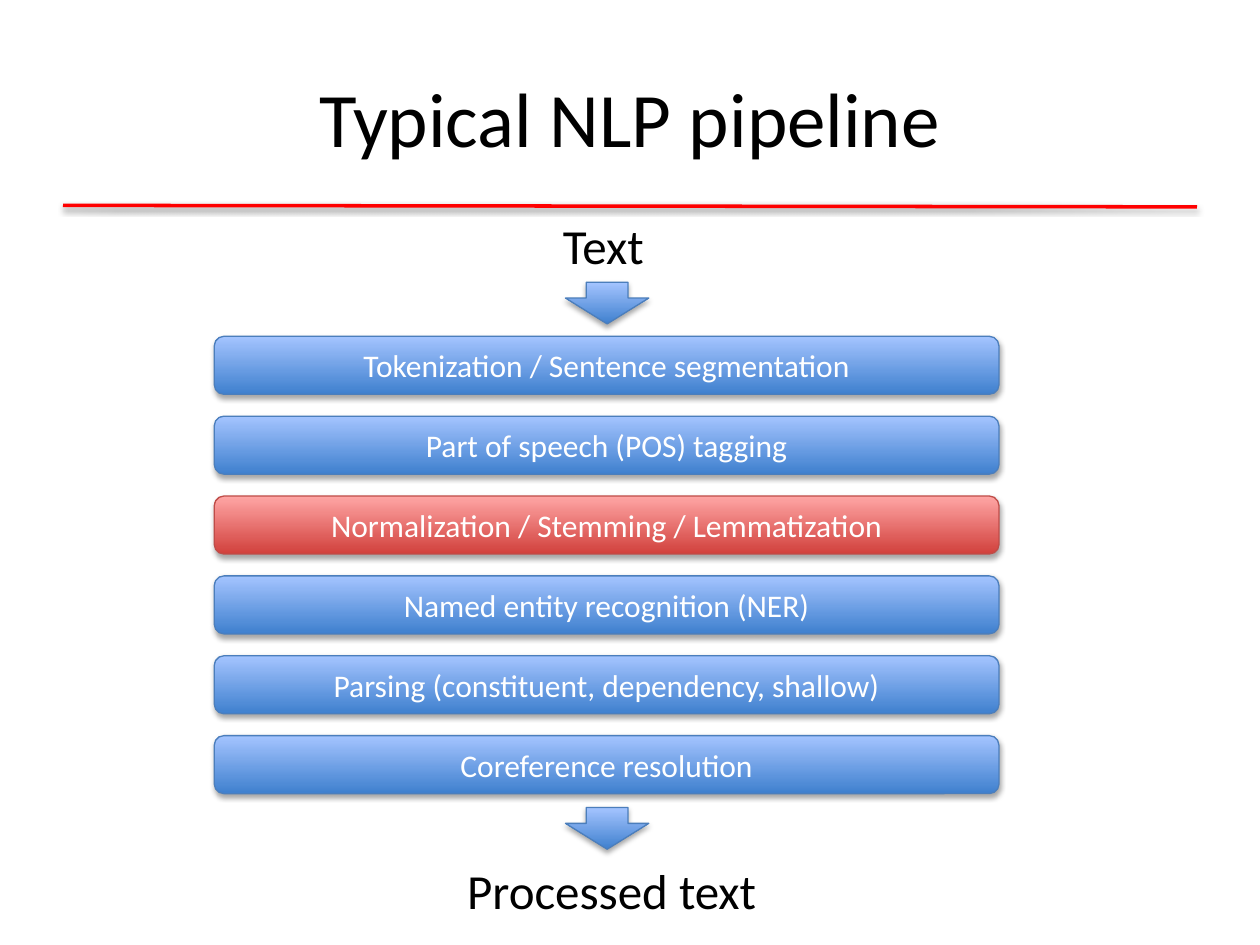
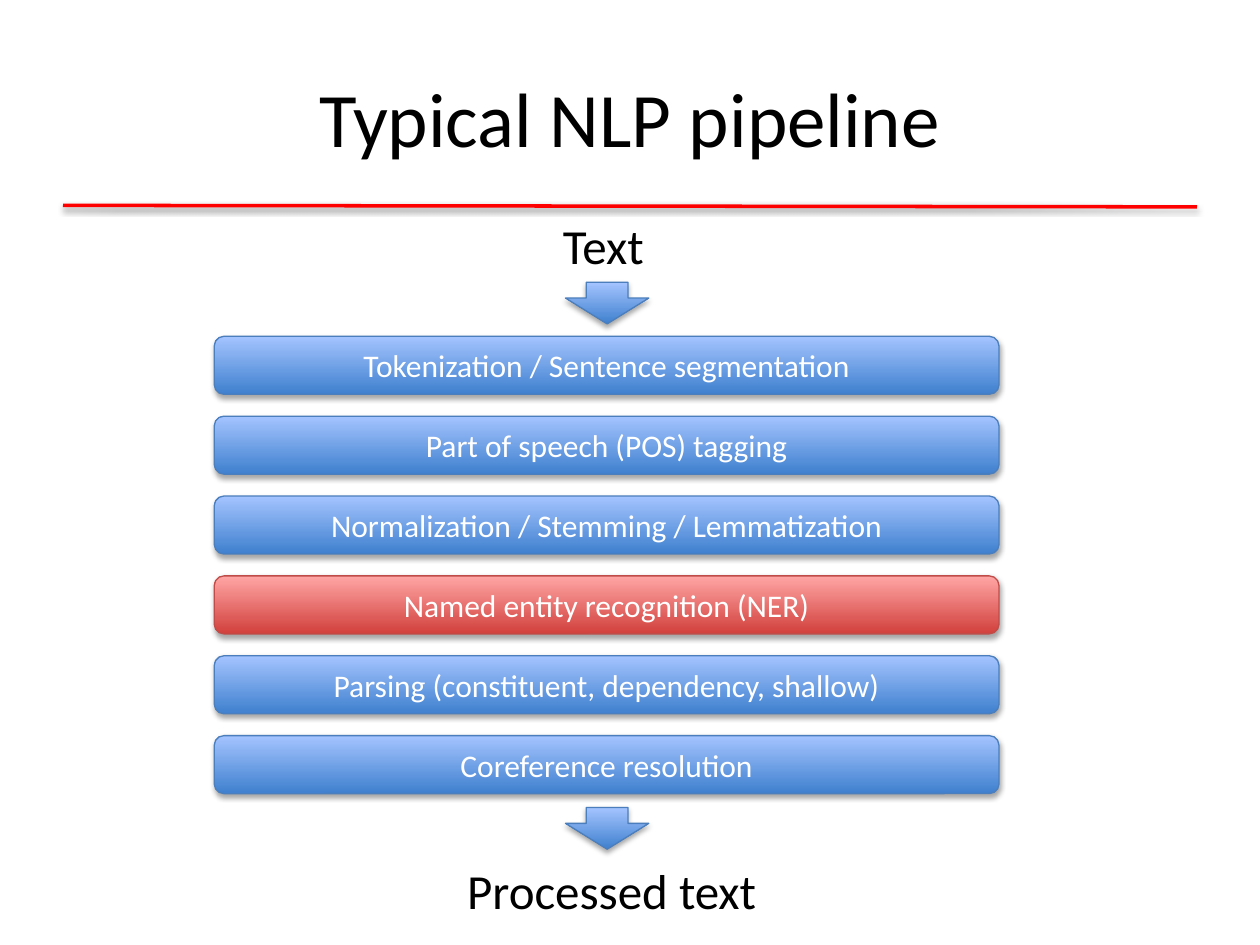
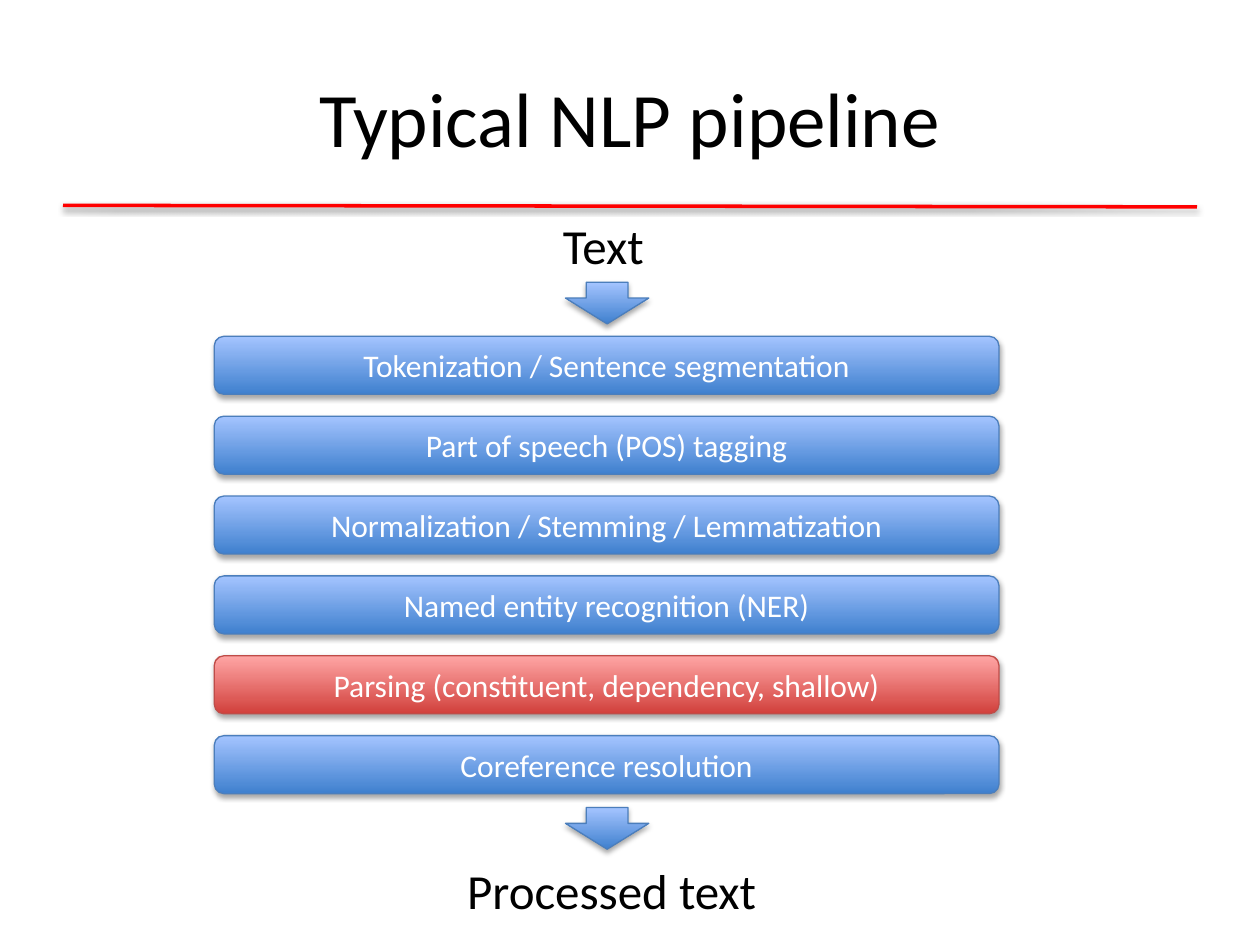
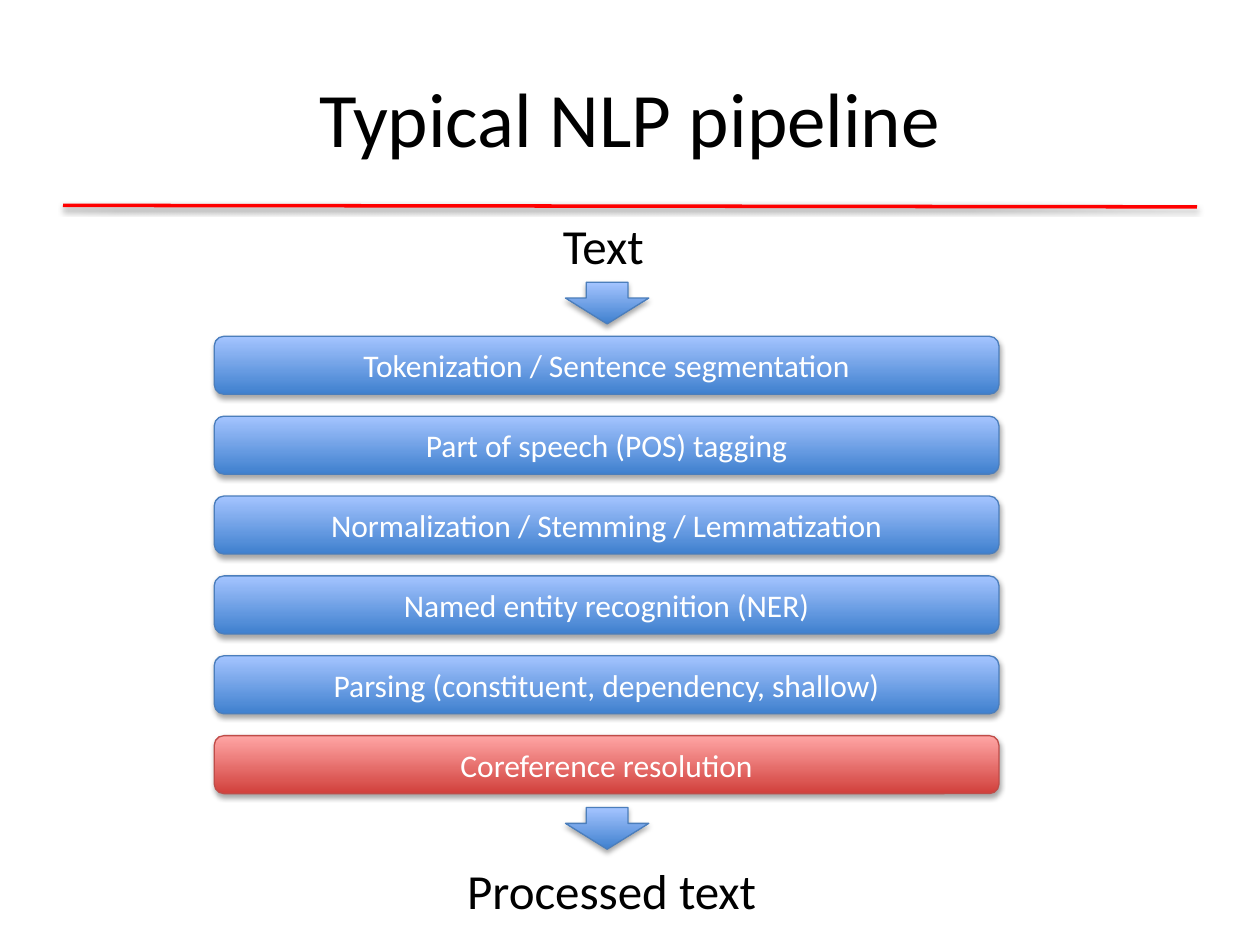
from dataclasses import dataclass

from lxml.etree import SubElement
from pptx import Presentation
from pptx.dml.color import RGBColor
from pptx.enum.shapes import MSO_CONNECTOR, MSO_SHAPE as Preset
from pptx.enum.text import MSO_ANCHOR as Anchor, MSO_AUTO_SIZE as AutoSize, PP_ALIGN as Align
from pptx.oxml.ns import qn
from pptx.util import Cm, Pt


@dataclass(frozen=True)
class Theme:
    font: str = "Calibri"
    title_size: Pt = Pt(44)
    label_size: Pt = Pt(28)
    step_size: Pt = Pt(18)
    text: RGBColor = RGBColor.from_string("000000")
    step_text: RGBColor = RGBColor.from_string("FFFFFF")
    rule: RGBColor = RGBColor.from_string("FF0000")
    # Each palette holds the bottom colour, the top colour and the outline.
    normal: tuple = ("3F80CE", "A4C4FF", "4B7EBC")
    highlight: tuple = ("D1403C", "FFA6A5", "BF4C48")


theme = Theme()

TITLE = "Typical NLP pipeline"
STEPS = [
    "Tokenization / Sentence segmentation",
    "Part of speech (POS) tagging",
    "Normalization / Stemming / Lemmatization",
    "Named entity recognition (NER)",
    "Parsing (constituent, dependency, shallow)",
    "Coreference resolution",
]
HIGHLIGHTED_STEPS = [2, 3, 4, 5]  # one slide for each
STEP_TOP, STEP_PITCH = 6.78, 1.61
ARROW_TOPS = [5.69, 16.28]
LABELS = [("Text", 11.1, 4.22, 2.26), ("Processed text", 9.17, 17.22, 6.45)]


def add_shadow(shape, distance, opacity):
    """Cast a soft black shadow downwards; call after fill and line are set."""
    effects = SubElement(shape.element.spPr, qn("a:effectLst"))
    shadow = SubElement(effects, qn("a:outerShdw"), blurRad=str(Pt(3.1)),
                        dist=str(Pt(distance)), dir="5400000", rotWithShape="0")
    color = SubElement(shadow, qn("a:srgbClr"), val="000000")
    SubElement(color, qn("a:alpha"), val=str(opacity * 1000))


def add_block(slide, preset, left, top, width, height, palette):
    """Add a preset shape with a vertical gradient, an outline and a shadow."""
    block = slide.shapes.add_shape(preset, Cm(left), Cm(top), Cm(width), Cm(height))
    bottom, top_color, outline = map(RGBColor.from_string, palette)
    block.fill.gradient()
    block.fill.gradient_angle = 90
    for stop, color in zip(block.fill.gradient_stops, (bottom, top_color)):
        stop.color.rgb = color
    block.line.color.rgb = outline
    block.line.width = Pt(0.75)
    add_shadow(block, distance=1.8, opacity=35)
    return block


presentation = Presentation()
presentation.slide_width, presentation.slide_height = Cm(25.4), Cm(19.05)
title_only = presentation.slide_layouts.get_by_name("Title Only")

for highlighted in HIGHLIGHTED_STEPS:
    slide = presentation.slides.add_slide(title_only)

    title = slide.shapes.title
    title.left, title.top, title.width, title.height = Cm(1.27), Cm(0.76), Cm(22.86), Cm(3.18)
    title.text_frame.text = TITLE
    title.text_frame.vertical_anchor = Anchor.MIDDLE
    paragraph = title.text_frame.paragraphs[0]
    paragraph.alignment = Align.CENTER
    paragraph.font.name = theme.font
    paragraph.font.size = theme.title_size
    paragraph.font.color.rgb = theme.text

    for index, step in enumerate(STEPS):
        palette = theme.highlight if index == highlighted else theme.normal
        box = add_block(slide, Preset.ROUNDED_RECTANGLE, 4.32, STEP_TOP + index * STEP_PITCH,
                        15.82, 1.17, palette)
        box.text_frame.text = step
        box.text_frame.vertical_anchor = Anchor.MIDDLE
        paragraph = box.text_frame.paragraphs[0]
        paragraph.alignment = Align.CENTER
        paragraph.font.name = theme.font
        paragraph.font.size = theme.step_size
        paragraph.font.color.rgb = theme.step_text

    for arrow_top in ARROW_TOPS:
        arrow = add_block(slide, Preset.DOWN_ARROW, 11.4, arrow_top, 1.68, 0.84, theme.normal)
        arrow.adjustments[1] = 0.62

    for text, left, top, width in LABELS:
        label = slide.shapes.add_textbox(Cm(left), Cm(top), Cm(width), Cm(1.45))
        label.text_frame.text = text
        label.text_frame.word_wrap = False
        label.text_frame.auto_size = AutoSize.SHAPE_TO_FIT_TEXT
        paragraph = label.text_frame.paragraphs[0]
        paragraph.font.name = theme.font
        paragraph.font.size = theme.label_size
        paragraph.font.color.rgb = theme.text

# The red rule under the title is moved to the layout, so every slide shows it.
rule = presentation.slides[0].shapes.add_connector(
    MSO_CONNECTOR.STRAIGHT, Cm(1.27), Cm(4.14), Cm(24.13), Cm(4.17))
rule.line.color.rgb = theme.rule
rule.line.width = Pt(2)
add_shadow(rule, distance=1.6, opacity=38)
title_only.element.cSld.spTree.append(rule.element)

presentation.save("out.pptx")
